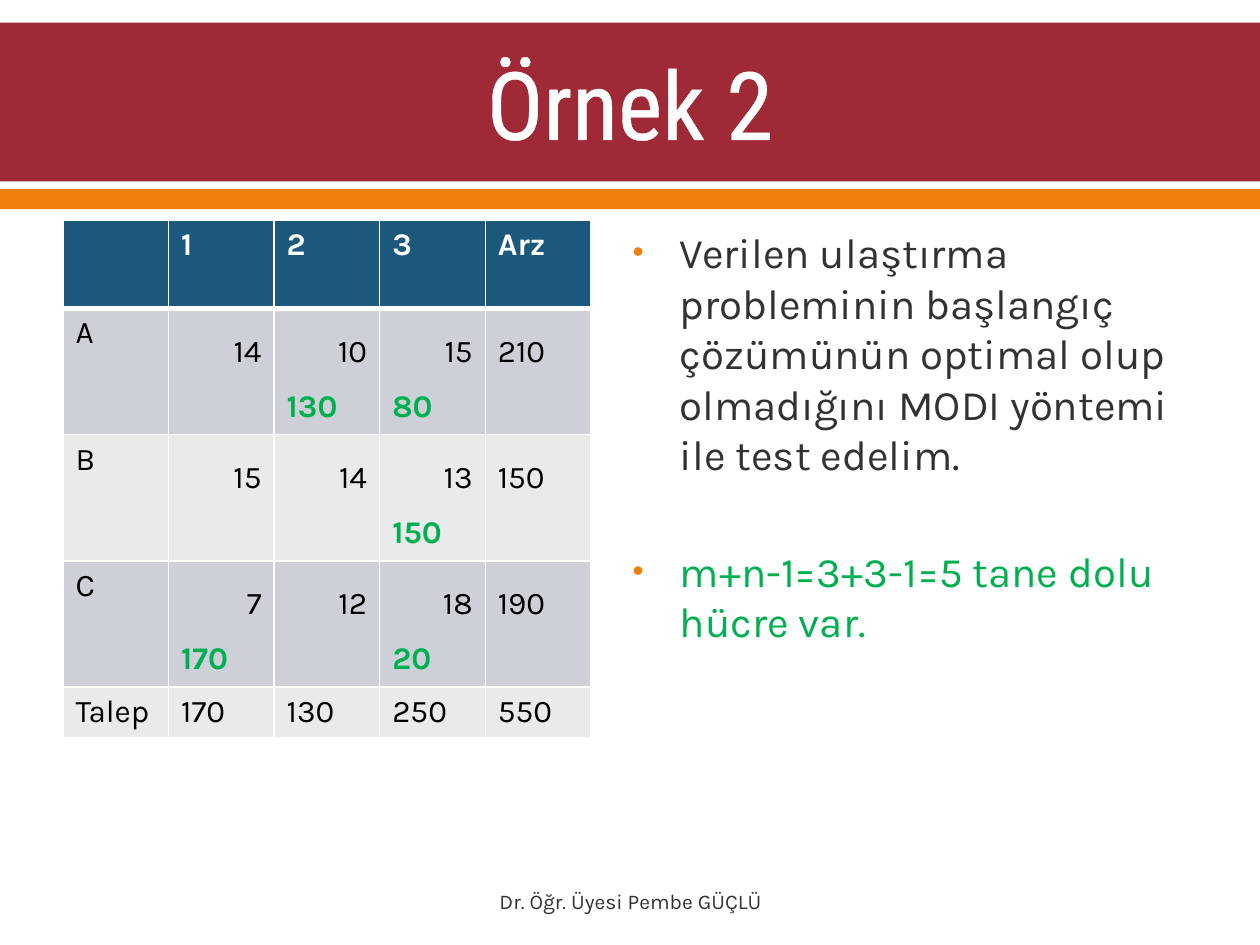
from lxml.etree import SubElement
from pptx import Presentation
from pptx.dml.color import RGBColor
from pptx.enum.shapes import MSO_SHAPE
from pptx.enum.text import MSO_ANCHOR, MSO_AUTO_SIZE, PP_ALIGN
from pptx.oxml import parse_xml
from pptx.oxml.ns import nsdecls, qn
from pptx.util import Pt

WHITE = RGBColor(0xFF, 0xFF, 0xFF)
BLACK = RGBColor(0, 0, 0)
GRAY = RGBColor(0x32, 0x32, 0x32)
RED = RGBColor(0x9F, 0x29, 0x36)
ORANGE = RGBColor(0xF0, 0x7F, 0x09)
BLUE = RGBColor(0x1B, 0x58, 0x7C)
GREEN = RGBColor(0, 0xB0, 0x50)
BANDS = RGBColor(0xCD, 0xD1, 0xD7), RGBColor(0xE8, 0xEA, 0xEC)

TITLE = "Örnek 2"
FOOTER = "Dr. Öğr. Üyesi Pembe GÜÇLÜ"
BARS = [(12.96, 90.72, RED), (108, 11.52, ORANGE)]  # top, height, colour
NOTES = [
    ("Verilen ulaştırma probleminin başlangıç çözümünün optimal olup "
     "olmadığını MODI yöntemi ile test edelim.", GRAY, 0),
    ("m+n-1=3+3-1=5 tane dolu hücre var.", GREEN, 38),
]
HEAD = ["", "1", "2", "3", "Arz"]
# supplier, (unit cost, shipped amount) per market, supply
ROUTES = [
    ("A", [("14", ""), ("10", "130"), ("15", "80")], "210"),
    ("B", [("15", ""), ("14", ""), ("13", "150")], "150"),
    ("C", [("7", "170"), ("12", ""), ("18", "20")], "190"),
]
DEMAND = ["Talep", "170", "130", "250", "550"]
COL = 60.34
ROWS = [50.4, 70.6, 70.6, 70.6, 29]


def write(para, text, size=18, color=BLACK, bold=False, font="Karla",
          align=PP_ALIGN.LEFT, lead=1.0, before=0):
    para.alignment, para.line_spacing = align, lead
    para.space_before = Pt(before)
    run = para.add_run()
    run.text = text
    run.font.name, run.font.size, run.font.bold = font, Pt(size), bold
    run.font.color.rgb = color
    return run


def place(shape, left, top, width, height):
    shape.left, shape.top = Pt(left), Pt(top)
    shape.width, shape.height = Pt(width), Pt(height)


def bullet(para):
    props = para._p.get_or_add_pPr()
    props.set("marL", str(Pt(27)))
    props.set("indent", str(-Pt(27)))
    tint = SubElement(props, qn("a:buClr"))
    SubElement(tint, qn("a:srgbClr"), val=str(ORANGE))
    SubElement(props, qn("a:buSzPct"), val="75000")
    SubElement(props, qn("a:buFont"), typeface="Arial")
    SubElement(props, qn("a:buChar"), char="•")


def line(tag, width):
    return parse_xml(
        f'<a:{tag} {nsdecls("a")} w="{Pt(width)}"><a:solidFill>'
        f'<a:srgbClr val="{WHITE}"/></a:solidFill></a:{tag}>')


def paint(cell, fill, top=1, base=1):
    cell.fill.solid()
    cell.fill.fore_color.rgb = fill
    props = cell._tc.get_or_add_tcPr()
    edges = [("lnL", 1), ("lnR", 1), ("lnT", top), ("lnB", base)]
    for spot, (tag, width) in enumerate(edges):
        props.insert(spot, line(tag, width))


def add_bars(slide):
    for spot, (top, height, color) in enumerate(BARS):
        bar = slide.shapes.add_shape(
            MSO_SHAPE.RECTANGLE, 0, Pt(top), Pt(720), Pt(height))
        bar.shadow.inherit = False
        bar.fill.solid()
        bar.fill.fore_color.rgb = color
        bar.line.fill.background()
        slide.shapes._spTree.insert(2 + spot, bar._element)  # behind the title


def add_title(slide):
    title = slide.shapes.title
    place(title, 36, 14.4, 648, 87.84)
    frame = title.text_frame
    frame.auto_size = MSO_AUTO_SIZE.NONE
    frame.vertical_anchor = MSO_ANCHOR.MIDDLE
    run = write(frame.paragraphs[0], TITLE, size=54, color=WHITE,
                font="Roboto Condensed", align=PP_ALIGN.CENTER)
    run.font._element.insert(0, line("ln", 1.1))


def add_notes(slide):
    body = slide.placeholders[1]
    place(body, 354.24, 126, 329.76, 353.52)
    frame = body.text_frame
    frame.auto_size = MSO_AUTO_SIZE.NONE
    for i, (text, color, before) in enumerate(NOTES):
        para = frame.add_paragraph() if i else frame.paragraphs[0]
        bullet(para)
        write(para, text, size=24, color=color, before=before)


def add_costs(slide):
    table = slide.shapes.add_table(
        len(ROWS), len(HEAD), Pt(36), Pt(126),
        Pt(COL * len(HEAD)), Pt(sum(ROWS))).table
    for col in table.columns:
        col.width = Pt(COL)
    for row, height in zip(table.rows, ROWS):
        row.height = Pt(height)
    for r in range(len(ROWS)):
        for c in range(len(HEAD)):
            paint(table.cell(r, c), BANDS[(r - 1) % 2] if r else BLUE,
                  top=3 if r == 1 else 1, base=1 if r else 3)

    def first(r, c):
        return table.cell(r, c).text_frame.paragraphs[0]

    last = len(ROWS) - 1
    for c, (head, need) in enumerate(zip(HEAD, DEMAND)):
        if head:
            write(first(0, c), head, color=WHITE, bold=True)
        write(first(last, c), need)
    for r, (name, costs, supply) in enumerate(ROUTES, 1):
        write(first(r, 0), name)
        write(first(r, len(HEAD) - 1), supply, lead=1.5)
        for c, (cost, load) in enumerate(costs, 1):
            write(first(r, c), cost, align=PP_ALIGN.RIGHT, lead=1.5)
            if load:
                para = table.cell(r, c).text_frame.add_paragraph()
                write(para, load, color=GREEN, bold=True, lead=1.5)


def add_footer(slide):
    box = slide.shapes.add_textbox(Pt(246.24), Pt(500.4), Pt(228.24), Pt(28.8))
    frame = box.text_frame
    frame.word_wrap = True
    frame.vertical_anchor = MSO_ANCHOR.MIDDLE
    write(frame.paragraphs[0], FOOTER, size=12, color=GRAY,
          align=PP_ALIGN.CENTER)


def main():
    deck = Presentation()
    deck.slide_width, deck.slide_height = Pt(720), Pt(540)
    slide = deck.slides.add_slide(deck.slide_layouts[1])
    for step in (add_bars, add_title, add_footer, add_costs, add_notes):
        step(slide)
    deck.save("out.pptx")


if __name__ == "__main__":
    main()
